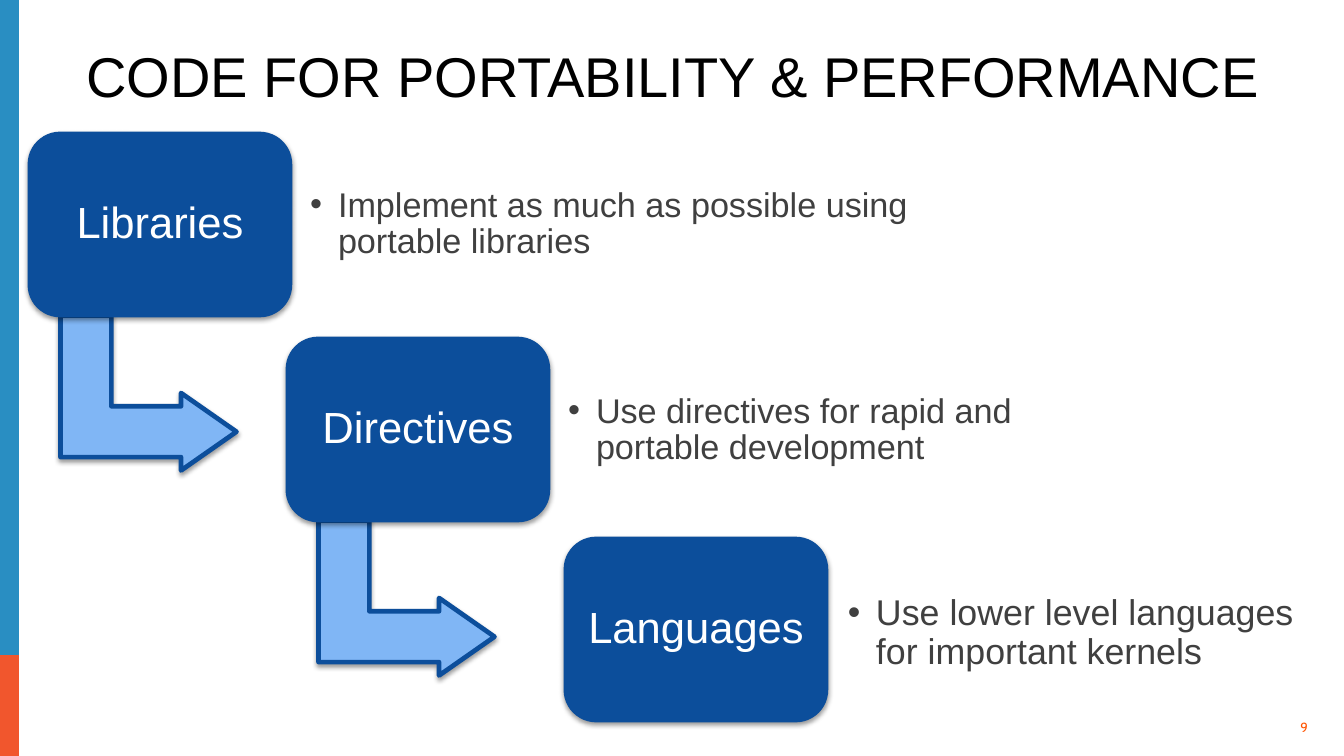
from dataclasses import dataclass

from lxml.etree import SubElement
from pptx import Presentation
from pptx.dml.color import RGBColor
from pptx.enum.shapes import MSO_SHAPE as Preset
from pptx.enum.text import MSO_ANCHOR as Anchor, MSO_AUTO_SIZE as AutoSize, PP_ALIGN as Align
from pptx.oxml.ns import qn
from pptx.util import Pt

EMU_PER_PX = 914400 / 112
FONT = "Arial"
COLORS = {
    "blue": "0C4E9B", "arrow": "80B6F5", "note": "404040", "white": "FFFFFF",
    "black": "000000", "bar": "298EC2", "bar_foot": "F1562D", "number": "FF5400",
}


@dataclass(frozen=True)
class Box:
    left: int
    top: int
    width: int
    height: int

    def emu(self) -> list[int]:
        return [px(n) for n in (self.left, self.top, self.width, self.height)]


@dataclass(frozen=True)
class Step:
    label: str
    left: int
    top: int
    note: str
    note_box: Box
    note_size: int = 22
    inset: int = 13


STEPS = [
    Step("Libraries", 30, 134, "Implement as much as possible using portable libraries",
         Box(297, 151, 730, 147)),
    Step("Directives", 288, 339, "Use directives for rapid and portable development",
         Box(555, 357, 511, 147)),
    Step("Languages", 566, 539, "Use lower level languages for important kernels",
         Box(837, 560, 476, 147), 23, 11),
]
STEP_WIDTH, STEP_HEIGHT = 260, 181


def px(n: int) -> int:
    return round(n * EMU_PER_PX)


def color(name: str) -> RGBColor:
    return RGBColor.from_string(COLORS[name])


def set_frame(frame, inset: int, anchor=Anchor.MIDDLE) -> None:
    frame.word_wrap = True
    frame.auto_size = AutoSize.NONE
    frame.vertical_anchor = anchor
    frame.margin_left = frame.margin_right = px(inset)
    frame.margin_top = frame.margin_bottom = px(inset)


def write(paragraph, text: str, size: float, ink: str, align, font: str = FONT) -> None:
    paragraph.alignment = align
    paragraph.line_spacing = 0.9
    run = paragraph.add_run()
    run.text = text
    run.font.size = Pt(size)
    run.font.name = font
    run.font.color.rgb = color(ink)


def add_shape(slide, preset, box: Box, fill: str, adjustments=(), outlined=False):
    shape = slide.shapes.add_shape(preset, *box.emu())
    for i, value in enumerate(adjustments):
        shape.adjustments[i] = value
    shape.shadow.inherit = False
    shape.fill.solid()
    shape.fill.fore_color.rgb = color(fill)
    if outlined:
        shape.line.color.rgb = color("blue")
        shape.line.width = Pt(3)
        add_shadow(shape)
    else:
        shape.line.fill.background()
    return shape


def add_shadow(shape) -> None:
    effects = shape._element.spPr.find(qn("a:effectLst"))
    shadow = SubElement(effects, qn("a:outerShdw"), blurRad=str(Pt(3.1)),
                        dist=str(Pt(1.6)), dir="5400000", rotWithShape="0")
    tint = SubElement(shadow, qn("a:srgbClr"), val=COLORS["black"])
    SubElement(tint, qn("a:alpha"), val="38000")


def add_text(slide, box: Box, inset: int):
    frame = slide.shapes.add_textbox(*box.emu()).text_frame
    set_frame(frame, inset)
    return frame.paragraphs[0]


def add_bullet(paragraph) -> None:
    props = paragraph._p.get_or_add_pPr()
    props.set("marL", str(px(28)))
    props.set("indent", str(-px(28)))
    SubElement(props, qn("a:buFont"), typeface=FONT)
    SubElement(props, qn("a:buChar"), char="•")


def add_step(slide, step: Step, leads_on: bool) -> None:
    if leads_on:
        arrow = add_shape(slide, Preset.BENT_UP_ARROW,
                          Box(step.left + 41, step.top + 171, 155, 176),
                          "arrow", (0.328, 0.25, 0.358), outlined=True)
        arrow.rotation = 90
    tile = add_shape(slide, Preset.ROUNDED_RECTANGLE,
                     Box(step.left, step.top, STEP_WIDTH, STEP_HEIGHT),
                     "blue", (0.167,), outlined=True)
    set_frame(tile.text_frame, 4)
    write(tile.text_frame.paragraphs[0], step.label, 28, "white", Align.CENTER)
    note = add_text(slide, step.note_box, step.inset)
    add_bullet(note)
    write(note, step.note, step.note_size, "note", Align.LEFT)


def main() -> None:
    deck = Presentation()
    deck.slide_width, deck.slide_height = px(1344), px(756)
    slide = deck.slides.add_slide(deck.slide_layouts[5])

    # Side bar
    add_shape(slide, Preset.RECTANGLE, Box(0, 655, 19, 101), "bar_foot")
    add_shape(slide, Preset.RECTANGLE, Box(0, 0, 19, 655), "bar")

    # Title
    title = slide.shapes.title
    title.left, title.top, title.width, title.height = Box(62, 43, 1222, 73).emu()
    set_frame(title.text_frame, 6, Anchor.BOTTOM)
    write(title.text_frame.paragraphs[0], "CODE FOR PORTABILITY & PERFORMANCE",
          36, "black", Align.CENTER)

    # Staircase of steps, each but the last with an arrow to the next
    for step in STEPS:
        add_step(slide, step, leads_on=step is not STEPS[-1])

    # Slide number
    number = add_text(slide, Box(1273, 718, 35, 20), 0)
    write(number, "9", 8.5, "number", Align.RIGHT, "Cabin")

    deck.save("out.pptx")


if __name__ == "__main__":
    main()
